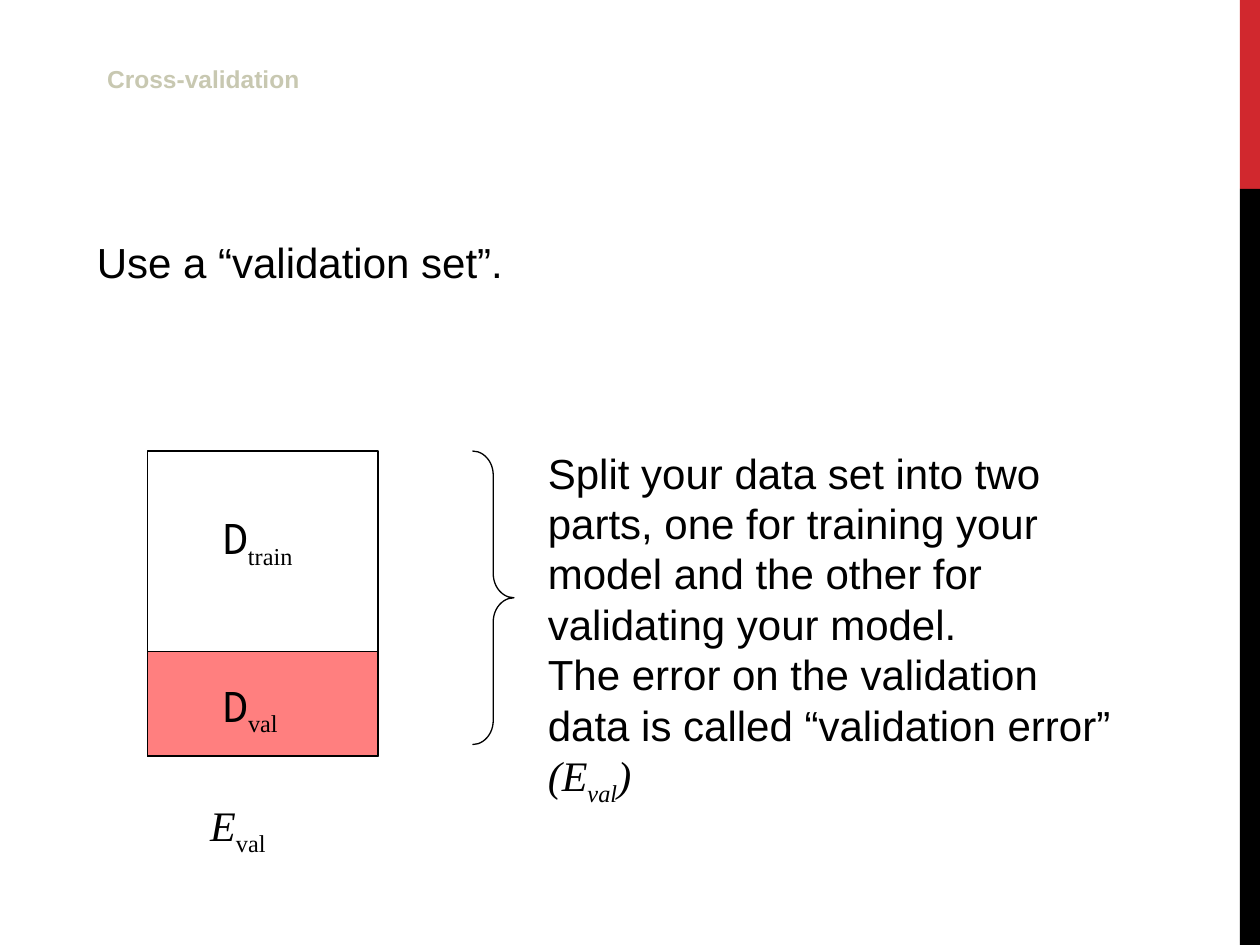
"""Build the cross-validation slide with a split data set and its explanation."""
from dataclasses import dataclass

from lxml.etree import SubElement
from pptx import Presentation
from pptx.dml.color import RGBColor
from pptx.enum.shapes import MSO_CONNECTOR, MSO_SHAPE
from pptx.enum.text import MSO_ANCHOR, MSO_AUTO_SIZE, PP_ALIGN
from pptx.oxml.ns import qn
from pptx.util import Pt


@dataclass(frozen=True)
class Theme:
    black: RGBColor = RGBColor(0, 0, 0)
    accent: RGBColor = RGBColor(0xD1, 0x28, 0x2E)
    title: RGBColor = RGBColor(0xC8, 0xC8, 0xB1)
    validation: RGBColor = RGBColor(0xFF, 0, 0)
    title_size: Pt = Pt(14)
    body_size: Pt = Pt(24)
    sans: str = "Arial"
    mono: str = "Noto Sans Mono"
    serif: str = "Times New Roman"


T = Theme()
PX = 9144


def add_shape(kind, box, fill=None, line=None):
    sp = s.shapes.add_shape(kind, *[v * PX for v in box])
    sp.shadow.inherit = False
    if fill is None:
        sp.fill.background()
    else:
        sp.fill.solid()
        sp.fill.fore_color.rgb = fill
    if line is None:
        sp.line.fill.background()
    else:
        sp.line.color.rgb = T.black
        sp.line.width = Pt(line)
    return sp


def add_text(box, lines):
    tf = s.shapes.add_textbox(*[v * PX for v in box]).text_frame
    tf.word_wrap = False
    tf.auto_size = MSO_AUTO_SIZE.SHAPE_TO_FIT_TEXT
    for i, runs in enumerate(lines):
        p = tf.add_paragraph() if i else tf.paragraphs[0]
        for text, font, italic, sub in runs:
            r = p.add_run()
            r.text = text
            r.font.name = font
            r.font.size = T.body_size
            r.font.italic = italic
            r.font.color.rgb = T.black
            if sub:
                r.font._element.set("baseline", "-25000")
    return tf


prs = Presentation()
prs.slide_width, prs.slide_height = 1000 * PX, 750 * PX
s = prs.slides.add_slide(prs.slide_layouts[5])

add_shape(MSO_SHAPE.RECTANGLE, (984, 0, 16, 150), fill=T.accent)
add_shape(MSO_SHAPE.RECTANGLE, (984, 150, 16, 600), fill=T.black)

title = s.shapes.title
title.left, title.top, title.width, title.height = [v * PX for v in (75, 25, 850, 75)]
tf = title.text_frame
tf.text = "Cross-validation"
tf.vertical_anchor = MSO_ANCHOR.MIDDLE
p = tf.paragraphs[0]
p.alignment = PP_ALIGN.LEFT
font = p.runs[0].font
font.name, font.size, font.bold = T.sans, T.title_size, True
font.color.rgb = T.title

tf = add_text((67, 183, 850, 83), [[("Use a “validation set”.", T.sans, False, False)]])
tf.word_wrap = True
tf.auto_size = MSO_AUTO_SIZE.NONE

left, top, split, width, bottom = 117, 358, 517, 183, 600
val = add_shape(MSO_SHAPE.RECTANGLE, (left, split, width, bottom - split), T.validation, 0.75)
color = val.fill._xPr.find(qn("a:solidFill")).find(qn("a:srgbClr"))
SubElement(color, qn("a:alpha")).set("val", "50000")
add_shape(MSO_SHAPE.RECTANGLE, (left, top, width, bottom - top), line=1)

divider = s.shapes.add_connector(
    MSO_CONNECTOR.STRAIGHT, left * PX, split * PX, (left + width) * PX, split * PX)
divider.line.color.rgb = T.black
divider.line.width = Pt(0.75)
SubElement(divider._element.spPr, qn("a:effectLst"))

for box, symbol, font_name, italic, sub in [
    ((167, 402, 84, 50), "D", T.mono, False, "train"),
    ((167, 535, 71, 50), "D", T.mono, False, "val"),
    ((157, 630, 68, 50), "E", T.serif, True, "val"),
]:
    add_text(box, [[(symbol, font_name, italic, False), (sub, T.serif, False, True)]])

brace = add_shape(MSO_SHAPE.RIGHT_BRACE, (375, top, 33, 233), line=0.75)
brace.adjustments[0] = 0.58
brace.adjustments[1] = 0.5

explanation = [
    "Split your data set into two",
    "parts, one for training your",
    "model and the other for",
    "validating your model.",
    "The error on the validation",
    "data is called “validation error”",
]
lines = [[(text, T.sans, False, False)] for text in explanation]
lines.append([("(E", T.serif, True, False), ("val", T.serif, True, True),
              (")", T.serif, True, False)])
add_text((425, 350, 540, 290), lines)

prs.save("out.pptx")
